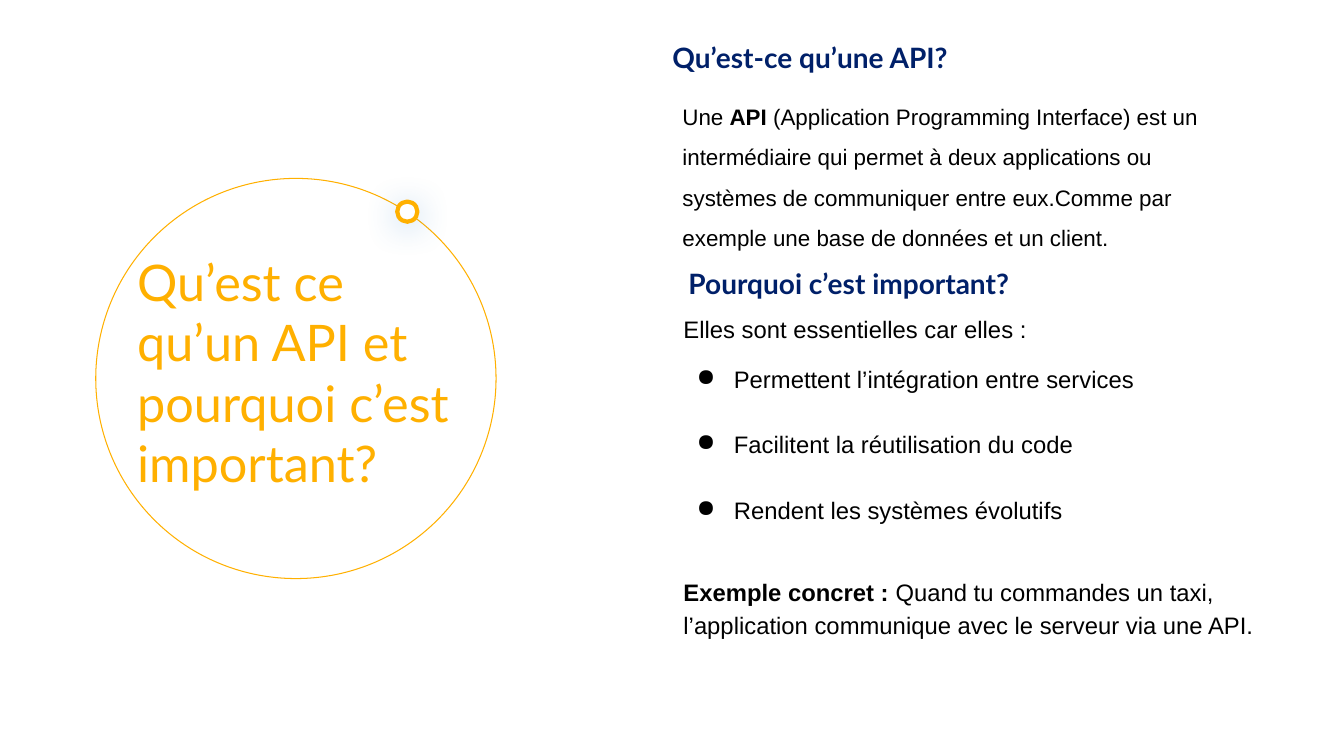
from lxml import etree
from pptx import Presentation
from pptx.dml.color import RGBColor
from pptx.enum.shapes import MSO_SHAPE
from pptx.enum.text import MSO_ANCHOR, MSO_AUTO_SIZE, PP_ALIGN
from pptx.oxml import parse_xml
from pptx.oxml.ns import nsdecls, qn
from pptx.util import Pt

PX = 9144
OVAL = MSO_SHAPE.OVAL
TOP = MSO_ANCHOR.TOP
NO_FIT = MSO_AUTO_SIZE.NONE
LEFT = PP_ALIGN.LEFT

AMBER = RGBColor(0xFF, 0xB0, 0x00)
NAVY = RGBColor(0x00, 0x20, 0x69)
BLACK = RGBColor(0x00, 0x00, 0x00)
WHITE = RGBColor(0xFF, 0xFF, 0xFF)
GLOW = RGBColor(0x5B, 0x9B, 0xD5)

BENEFITS = [
    "Permettent l’intégration entre services",
    "Facilitent la réutilisation du code",
    "Rendent les systèmes évolutifs",
]


def place(sp, x, y, w, h):
    """Move and size a shape in px."""
    sp.left, sp.top, sp.width, sp.height = (v * PX for v in (x, y, w, h))


def setup_frame(sp, inset_y=5):
    """Wrap a shape's text and fix its insets and anchor."""
    tf = sp.text_frame
    tf.word_wrap = True
    tf.auto_size = NO_FIT
    tf.vertical_anchor = TOP
    tf.margin_left = tf.margin_right = 10 * PX
    tf.margin_top = tf.margin_bottom = inset_y * PX
    return tf


def add_text(s, x, y, w, h, inset_y=5):
    """Add a text box and return its text frame."""
    sp = s.shapes.add_textbox(0, 0, 0, 0)
    place(sp, x, y, w, h)
    return setup_frame(sp, inset_y)


def write(p, parts, size, font="Arial", color=BLACK, spacing=None):
    """Fill a paragraph with (text, bold) parts in one style."""
    p.alignment = LEFT
    if spacing:
        p.line_spacing = spacing
    for text, bold in parts:
        r = p.add_run()
        r.text = text
        r.font.size, r.font.name, r.font.bold = Pt(size), font, bold
        r.font.color.rgb = color


def add_circle(s, x, y, d, weight):
    """Add an amber outlined circle."""
    sp = s.shapes.add_shape(OVAL, x * PX, y * PX, d * PX, d * PX)
    sp.shadow.inherit = False
    sp.fill.background()
    sp.line.color.rgb = AMBER
    sp.line.width = Pt(weight)
    return sp


def add_glow(sp):
    """Give a shape a soft shadow below it."""
    effects = sp.element.spPr.find(qn("a:effectLst"))
    effects.append(parse_xml(
        f'<a:outerShdw {nsdecls("a")} blurRad="{Pt(24)}" dist="{Pt(3)}" '
        f'dir="5400000" algn="t" rotWithShape="0"><a:srgbClr val="{GLOW}">'
        '<a:alpha val="40000"/></a:srgbClr></a:outerShdw>'))


def set_bullet(p):
    """Give a paragraph a black round bullet and a hanging indent."""
    pPr = p._p.get_or_add_pPr()
    pPr.set("marL", str(50 * PX))
    pPr.set("indent", str(-37 * PX))
    color = etree.SubElement(pPr, qn("a:buClr"))
    etree.SubElement(color, qn("a:srgbClr"), val=str(BLACK))
    etree.SubElement(pPr, qn("a:buChar"), char="●")


def title_ring(s, x, y, d):
    """Draw the ring with its glowing knob and the slide title inside."""
    add_circle(s, x, y, d, 0.75)
    knob = add_circle(s, x + 299, y + 23, 20, 3)
    knob.fill.solid()
    knob.fill.fore_color.rgb = WHITE
    add_glow(knob)
    place(s.shapes.title, x + 31, y + 67, 354, 258)
    tf = setup_frame(s.shapes.title)
    write(tf.paragraphs[0],
          [("Qu’est ce qu’un API et pourquoi c’est important?", False)],
          36, "Lato", AMBER)


def add_heading(s, x, y, w, h, text, inset_y=5):
    """Add a navy section heading."""
    tf = add_text(s, x, y, w, h, inset_y)
    write(tf.paragraphs[0], [(text, True)], 20, "Lato", NAVY, 1.3)


def definition(s, x, y):
    """Write the section that defines an API."""
    add_heading(s, x, y, 424, 59, "Qu’est-ce qu’une API?")
    tf = add_text(s, x + 10, y + 59, 571, 188)
    write(tf.paragraphs[0], [
        ("Une ", False), ("API", True),
        (" (Application Programming Interface) est un intermédiaire qui "
         "permet à deux applications ou systèmes de communiquer entre eux."
         "Comme par exemple une base de données et un client.", False),
    ], 16, spacing=1.5)


def importance(s, x, y):
    """Write the section on why APIs matter."""
    add_heading(s, x + 5, y, 432, 54, "Pourquoi c’est important?", 10)
    tf = add_text(s, x, y + 54, 641, 358, 10)
    write(tf.paragraphs[0], [("Elles sont essentielles car elles :", False)],
          17, spacing=1.15)
    for i, benefit in enumerate(BENEFITS):
        p = tf.add_paragraph()
        set_bullet(p)
        p.space_before = Pt(0 if i else 12)
        p.space_after = Pt(23.3)
        write(p, [(benefit, False)], 17, spacing=1.15)
    p = tf.add_paragraph()
    p.space_before = Pt(12)
    write(p, [
        ("Exemple concret :", True),
        (" Quand tu commandes un taxi, l’application communique avec le "
         "serveur via une API.", False),
    ], 17, spacing=1.15)


def main():
    """Build and save the slide."""
    prs = Presentation()
    prs.slide_width, prs.slide_height = 1333 * PX, 750 * PX
    s = prs.slides.add_slide(prs.slide_layouts[5])
    title_ring(s, 95, 177, 397)
    definition(s, 657, 25)
    importance(s, 668, 244)
    prs.save("out.pptx")


if __name__ == "__main__":
    main()
